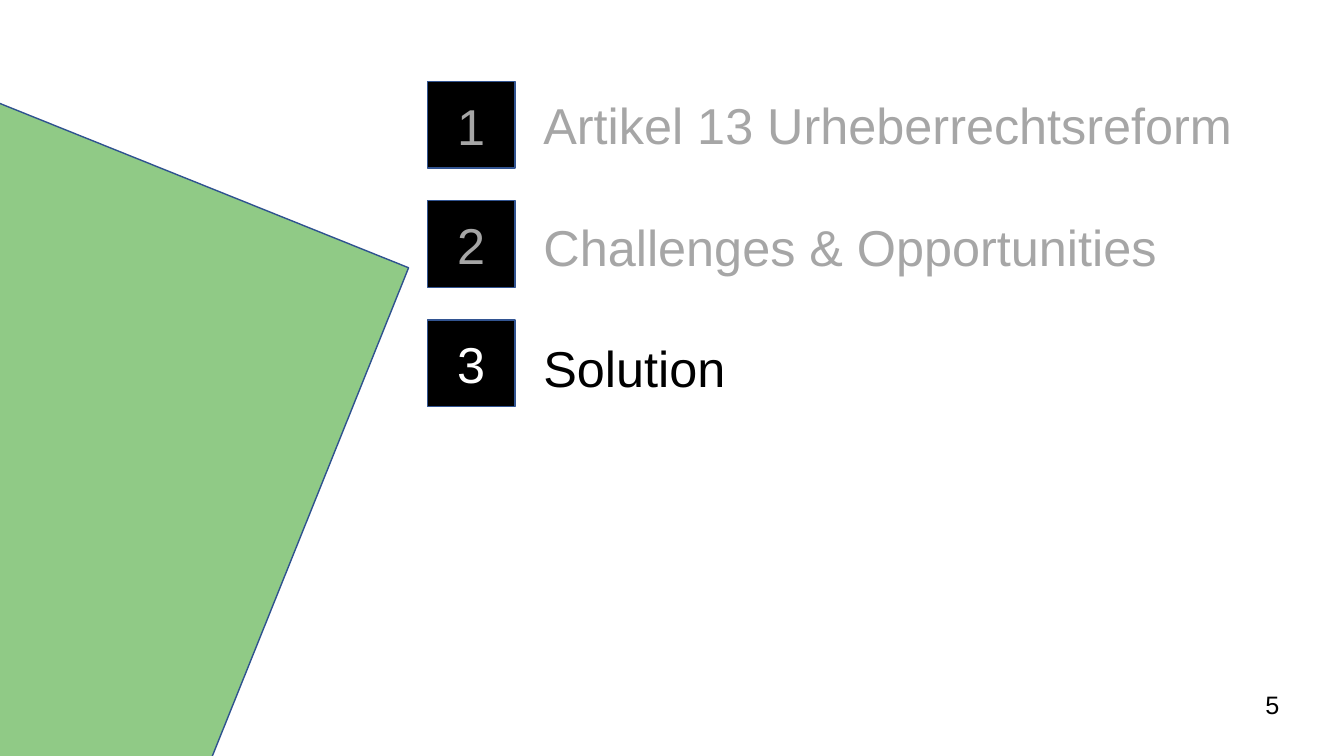
"""Build the agenda slide with its third entry highlighted."""
from dataclasses import dataclass

from lxml.etree import SubElement
from pptx import Presentation
from pptx.dml.color import RGBColor
from pptx.enum.shapes import MSO_SHAPE as Preset
from pptx.enum.text import MSO_ANCHOR as Anchor, MSO_AUTO_SIZE as AutoSize, PP_ALIGN as Align
from pptx.oxml.ns import qn
from pptx.shapes.autoshape import Shape
from pptx.slide import Slide
from pptx.text.text import TextFrame
from pptx.util import Cm, Pt

BLACK, WHITE, GREY = "000000", "FFFFFF", "A6A6A6"
GREEN, GREEN_EDGE, BADGE_EDGE = "61B453", "2F528F", "325491"
ENTRY_TOP, ENTRY_PITCH = 2.06, 3.0


@dataclass(frozen=True)
class Entry:
    title: str
    title_colour: str
    number_colour: str


@dataclass(frozen=True)
class Area:
    left: float
    top: float
    width: float
    height: float

    def lengths(self) -> tuple[Cm, Cm, Cm, Cm]:
        return Cm(self.left), Cm(self.top), Cm(self.width), Cm(self.height)


ENTRIES = (
    Entry("Artikel 13 Urheberrechtsreform", GREY, GREY),
    Entry("Challenges & Opportunities", GREY, GREY),
    Entry("Solution", BLACK, WHITE),
)


def colour(value: str) -> RGBColor:
    return RGBColor.from_string(value)


def write(frame: TextFrame, text: str, *, size: float = 36, ink: str = BLACK,
          align: Align = Align.LEFT, after: float = 0, first: bool = True) -> None:
    para = frame.paragraphs[0] if first else frame.add_paragraph()
    para.alignment = align
    para.line_spacing = 1.0
    para.space_before, para.space_after = Pt(0), Pt(after)
    properties = para._p.get_or_add_pPr()
    properties.set("marL", "0")
    properties.set("indent", "0")
    SubElement(properties, qn("a:buNone"))
    span = para.add_run()
    span.text = text
    span.font.name = "Arial"
    span.font.size = Pt(size)
    span.font.color.rgb = colour(ink)


def add_rectangle(page: Slide, area: Area, fill: str, edge: str) -> Shape:
    box = page.shapes.add_shape(Preset.RECTANGLE, *area.lengths())
    box.shadow.inherit = False
    box.fill.solid()
    box.fill.fore_color.rgb = colour(fill)
    box.line.color.rgb = colour(edge)
    box.line.width = Pt(1)
    return box


def add_backdrop(page: Slide) -> None:
    box = add_rectangle(page, Area(-3.86, 4.01, 11.71, 15.39), GREEN, GREEN_EDGE)
    box.rotation = 21.9
    tint = box.fill._xPr.find(qn("a:solidFill"))[0]
    SubElement(tint, qn("a:alpha")).set("val", "70000")


def add_badges(page: Slide) -> None:
    for index, entry in enumerate(ENTRIES):
        area = Area(10.77, ENTRY_TOP + index * ENTRY_PITCH, 2.21, 2.18)
        frame = add_rectangle(page, area, BLACK, BADGE_EDGE).text_frame
        frame.vertical_anchor = Anchor.MIDDLE
        write(frame, str(index + 1), ink=entry.number_colour, align=Align.CENTER)


def add_titles(page: Slide) -> None:
    body = page.placeholders[1]
    area = Area(13.44, 2.25, 19.05, 7.82)
    body.left, body.top, body.width, body.height = area.lengths()
    frame = body.text_frame
    frame.auto_size = AutoSize.NONE
    frame.word_wrap = True
    frame.vertical_anchor = Anchor.TOP
    for index, entry in enumerate(ENTRIES):
        write(frame, entry.title, ink=entry.title_colour, after=43.6, first=index == 0)


def add_page_number(page: Slide) -> None:
    frame = page.shapes.add_textbox(*Area(30.53, 17.25, 1.96, 1.02).lengths()).text_frame
    frame.word_wrap = True
    write(frame, "5", size=18, align=Align.RIGHT)


def main() -> None:
    deck = Presentation()
    deck.slide_width, deck.slide_height = Cm(33.87), Cm(19.05)
    page = deck.slides.add_slide(deck.slide_layouts[1])
    heading = page.shapes.title.element
    heading.getparent().remove(heading)
    add_backdrop(page)
    add_page_number(page)
    add_badges(page)
    add_titles(page)
    deck.save("out.pptx")


if __name__ == "__main__":
    main()
